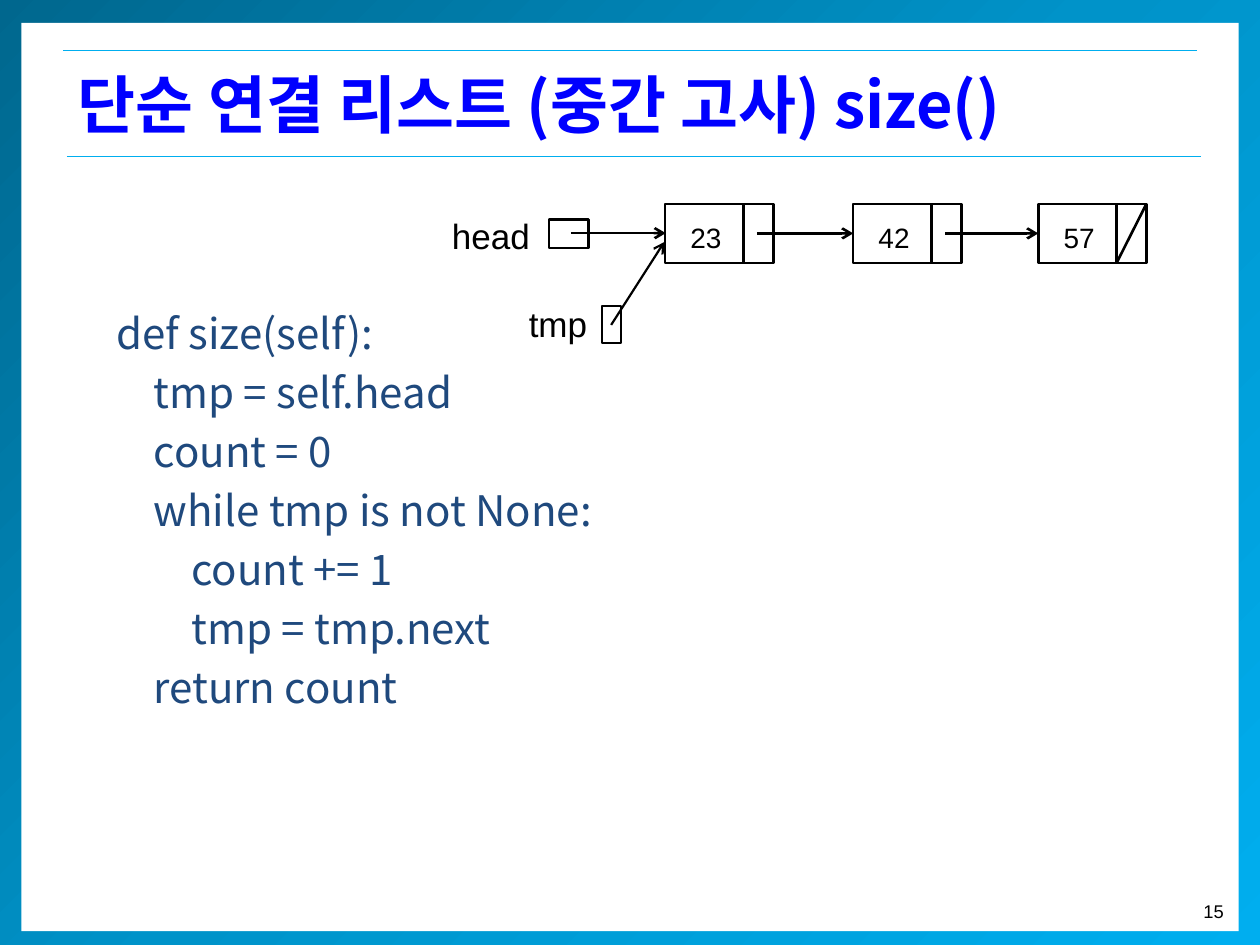
from copy import deepcopy
from lxml import etree
from pptx import Presentation
from pptx.dml.color import RGBColor
from pptx.enum.shapes import MSO_CONNECTOR, MSO_SHAPE
from pptx.enum.text import MSO_ANCHOR, PP_ALIGN
from pptx.oxml.ns import qn
from pptx.util import Cm, Pt

RECT = MSO_SHAPE.RECTANGLE
LINE = MSO_CONNECTOR.STRAIGHT
MIDDLE = MSO_ANCHOR.MIDDLE
LEFT, RIGHT = PP_ALIGN.LEFT, PP_ALIGN.RIGHT

SANS, KOREAN = "Arial", "Noto Sans CJK KR"
COLORS = {
    "deep": "00678E", "mid": "0093C9", "sky": "00AEEF", "white": "FFFFFF",
    "title": "0000FF", "code": "1F497D", "ink": "000000",
}

TITLE = "단순 연결 리스트 (중간 고사) size()"
PAGE = "15"
# Indent level and text of each line
CODE = [
    (0, "def size(self):"),
    (1, "tmp = self.head"),
    (1, "count = 0"),
    (1, "while tmp is not None:"),
    (2, "count += 1"),
    (2, "tmp = tmp.next"),
    (1, "return count"),
]
# Left edge and value of each list node
NODES = [(13.41, "23"), (17.2, "42"), (20.93, "57")]
# Label, label box, pointer box, arrow start, arrow end, line width
POINTERS = [
    ("head", (8.86, 4.19, 2.11, 1.12), (11.07, 4.42, 0.79, 0.58),
     (11.51, 4.7), (13.42, 4.7), 1.5),
    ("tmp", (10.41, 5.97, 1.7, 1.12), (12.14, 6.17, 0.38, 0.74),
     (12.32, 6.55), (13.39, 4.88), 1.25),
]
RULES = [(1.27, 1.02), (1.35, 3.15)]
RULE_W = 22.86
NODE_Y, NODE_W, NODE_H = 4.11, 2.18, 1.19
SPLIT, TAIL = 1.58, 1.85  # divider and arrow start, from the node's left
INDENT = 0.76

prs = Presentation()
prs.slide_width, prs.slide_height = Cm(25.4), Cm(19.05)
slide = prs.slides.add_slide(prs.slide_layouts[6])
shapes = slide.shapes


def color(name):
    return RGBColor.from_string(COLORS[name])


def add_box(place, fill=None, width=None):
    box = shapes.add_shape(RECT, *map(Cm, place))
    box.shadow.inherit = False
    if fill:
        box.fill.solid()
        box.fill.fore_color.rgb = color(fill)
    else:
        box.fill.background()
    if width:
        box.line.color.rgb = color("ink")
        box.line.width = Pt(width)
    else:
        box.line.fill.background()
    return box


def add_line(start, end, width=1.5, tint="ink", arrow=False):
    line = shapes.add_connector(LINE, *map(Cm, start + end))
    line.line.color.rgb = color(tint)
    line.line.width = Pt(width)
    props = line._element.spPr
    if arrow:
        etree.SubElement(props.find(qn("a:ln")), qn("a:tailEnd"), type="arrow")
    etree.SubElement(props, qn("a:effectLst"))


def style(para, size, font=SANS, tint="ink", bold=False):
    for run in para.runs:
        run.font.size = Pt(size)
        run.font.name = font
        run.font.bold = bold
        run.font.color.rgb = color(tint)
        etree.SubElement(run.font._element, qn("a:ea"), typeface=font)


def add_text(place, text, size, align=LEFT, wrap=False, **look):
    frame = shapes.add_textbox(*map(Cm, place)).text_frame
    frame.word_wrap = wrap
    frame.text = text
    for para in frame.paragraphs:
        para.alignment = align
        style(para, size, **look)
    return frame


def add_frame():
    edge = add_box((0, -0.1, 25.4, 19.28), fill="deep")
    edge.fill.gradient()
    edge.fill.gradient_angle = 315
    stops = edge.fill.gradient_stops
    first = stops[0]._element
    first.addnext(deepcopy(first))
    tints = [(0, "deep"), (0.5, "mid"), (1, "sky")]
    for stop, (spot, tint) in zip(edge.fill.gradient_stops, tints):
        stop.position = spot
        stop.color.rgb = color(tint)
    add_box((0.43, 0.46, 24.54, 18.31), fill="white")
    add_text((23.93, 18.03, 0.99, 0.71), PAGE, 10.5, align=RIGHT)
    for x, y in RULES:
        add_line((x, y), (x + RULE_W, y), 0.75, "sky")


def add_code():
    frame = add_text((2.34, 6.02, 21, 8.4), "\n".join(t for _, t in CODE), 24,
                     wrap=True, font=KOREAN, tint="code")
    frame.margin_left = frame.margin_top = 0
    for (level, _), para in zip(CODE, frame.paragraphs):
        para.line_spacing = Pt(33.7)
        para._p.get_or_add_pPr().set("marL", str(Cm(level * INDENT)))


def add_nodes():
    base, mid = NODE_Y + NODE_H, NODE_Y + NODE_H / 2
    for x, value in NODES:
        add_box((x, NODE_Y, NODE_W, NODE_H), width=1.5)
        add_line((x + SPLIT, NODE_Y), (x + SPLIT, base))
        add_text((x + 0.26, 4.32, 1.14, 0.94), value, 16)
    for (x, _), (after, _) in zip(NODES, NODES[1:]):
        add_line((x + TAIL, mid), (after, mid), arrow=True)
    last = NODES[-1][0]
    add_line((last + SPLIT, base), (last + NODE_W, NODE_Y))


add_frame()
title = add_text((1.32, 1.02, 23.04, 2.13), TITLE, 36, wrap=True,
                 font=KOREAN, tint="title", bold=True)
title.vertical_anchor = MIDDLE
add_code()
add_nodes()
for label, place, box, start, end, width in POINTERS:
    add_text(place, label, 20)
    add_box(box, width=width)
    add_line(start, end, width, arrow=True)

prs.save("out.pptx")
